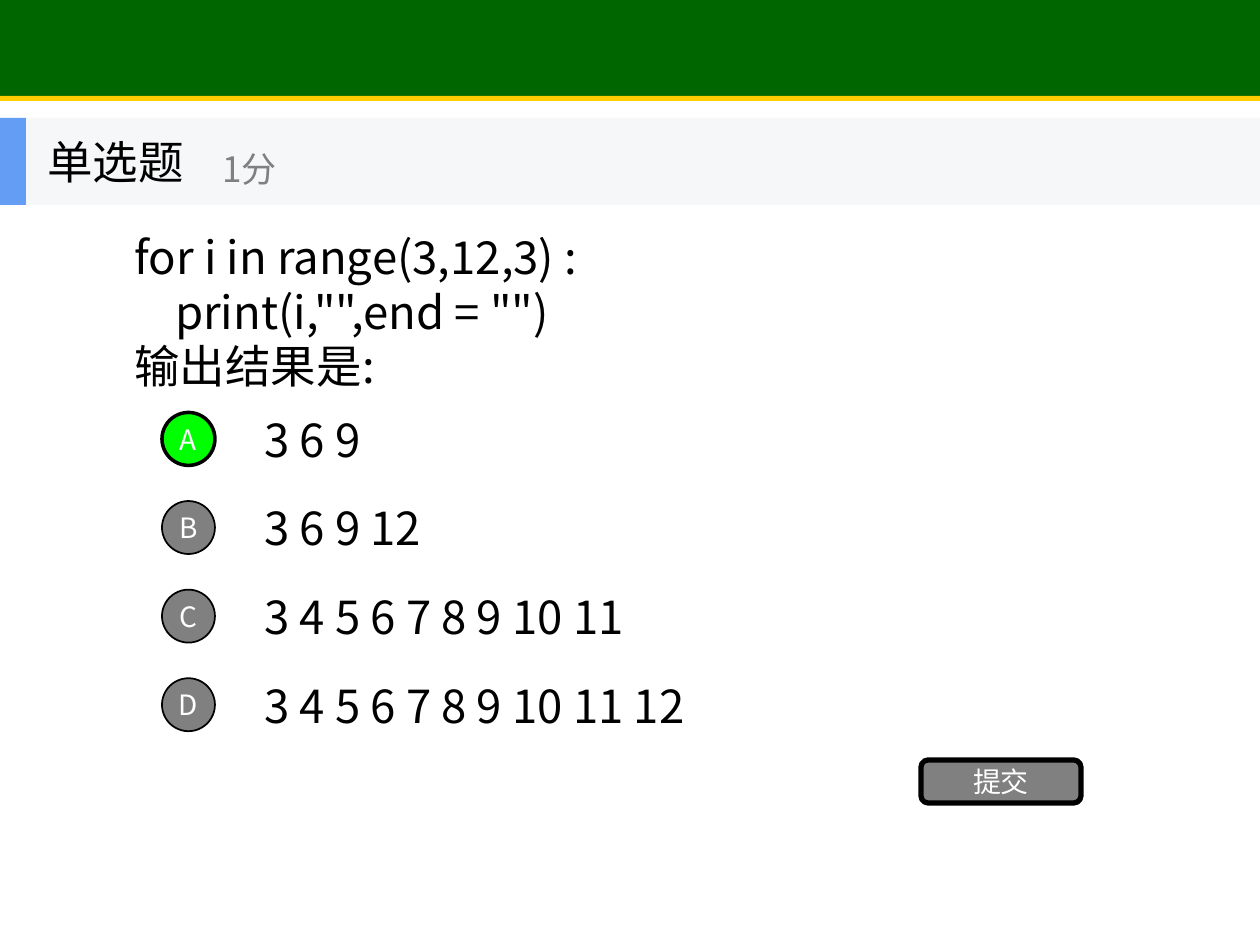
from pptx import Presentation
from pptx.dml.color import RGBColor
from pptx.enum.shapes import MSO_SHAPE
from pptx.enum.text import MSO_ANCHOR, PP_ALIGN
from pptx.oxml.ns import qn
from pptx.util import Emu, Pt
from lxml import etree

PX = 914400 // 126
FONT = "Noto Sans CJK SC"
BLACK, WHITE, GRAY = "000000", "FFFFFF", "808080"

BANDS = [
    ((0, 0, 1260, 100), "006600"),
    ((0, 96, 1260, 5), "FFCC00"),
    ((0, 118, 1260, 87), "F6F7F8"),
    ((0, 118, 26, 87), "639EF4"),
]
HEADING = "单选题"
SCORE = "1分"
QUESTION = """for i in range(3,12,3) :
    print(i,"",end = "")
输出结果是:"""
OPTIONS = [
    ("A", "3 6 9"),
    ("B", "3 6 9 12"),
    ("C", "3 4 5 6 7 8 9 10 11"),
    ("D", "3 4 5 6 7 8 9 10 11 12"),
]
CORRECT = "A"
SUBMIT = "提交"

OPTION_CENTER, OPTION_PITCH = 439, 88.6
BADGE, ANSWER_HEIGHT = 53, 67


def rgb(color):
    return RGBColor.from_string(color)


def place(box):
    return [Emu(round(length * PX)) for length in box]


def write(shape, text, size, color, align=PP_ALIGN.LEFT):
    frame = shape.text_frame
    frame.text = text
    frame.word_wrap = True
    frame.vertical_anchor = MSO_ANCHOR.MIDDLE
    for paragraph in frame.paragraphs:
        paragraph.alignment = align
        for run in paragraph.runs:
            run.font.size = Pt(size)
            run.font.name = FONT
            run.font.color.rgb = rgb(color)
            east_asian = etree.SubElement(run.font._element, qn("a:ea"))
            east_asian.set("typeface", FONT)


def add_text(slide, box, text, size=26, color=BLACK):
    write(slide.shapes.add_textbox(*place(box)), text, size, color)


def add_filled(slide, kind, box, fill, line_width=0):
    shape = slide.shapes.add_shape(kind, *place(box))
    shape.shadow.inherit = False
    shape.fill.solid()
    shape.fill.fore_color.rgb = rgb(fill)
    if line_width:
        shape.line.color.rgb = rgb(BLACK)
        shape.line.width = Pt(line_width)
    else:
        shape.line.fill.background()
    return shape


def add_button(slide, kind, box, label, fill, line_width):
    button = add_filled(slide, kind, box, fill, line_width)
    write(button, label, 16, WHITE, PP_ALIGN.CENTER)
    frame = button.text_frame
    frame.margin_left = frame.margin_right = 0
    frame.margin_top = frame.margin_bottom = 0


def main():
    deck = Presentation()
    deck.slide_width, deck.slide_height = place((1260, 945))
    slide = deck.slides.add_slide(deck.slide_layouts[6])

    for box, fill in BANDS:
        add_filled(slide, MSO_SHAPE.RECTANGLE, box, fill)
    add_text(slide, (35, 118, 262, 87), HEADING)
    add_text(slide, (210, 134, 315, 70), SCORE, 20, GRAY)
    add_text(slide, (122, 200, 1008, 222), QUESTION)

    for row, (letter, answer) in enumerate(OPTIONS):
        center = OPTION_CENTER + row * OPTION_PITCH
        add_text(slide, (252, center - ANSWER_HEIGHT / 2, 882, ANSWER_HEIGHT), answer)
        fill, line_width = ("00FF00", 2) if letter == CORRECT else (GRAY, 1)
        add_button(slide, MSO_SHAPE.OVAL, (162, center - BADGE / 2, BADGE, BADGE),
                   letter, fill, line_width)

    add_button(slide, MSO_SHAPE.ROUNDED_RECTANGLE, (921, 760, 160, 43), SUBMIT, GRAY, 3)
    deck.save("out.pptx")


if __name__ == "__main__":
    main()
